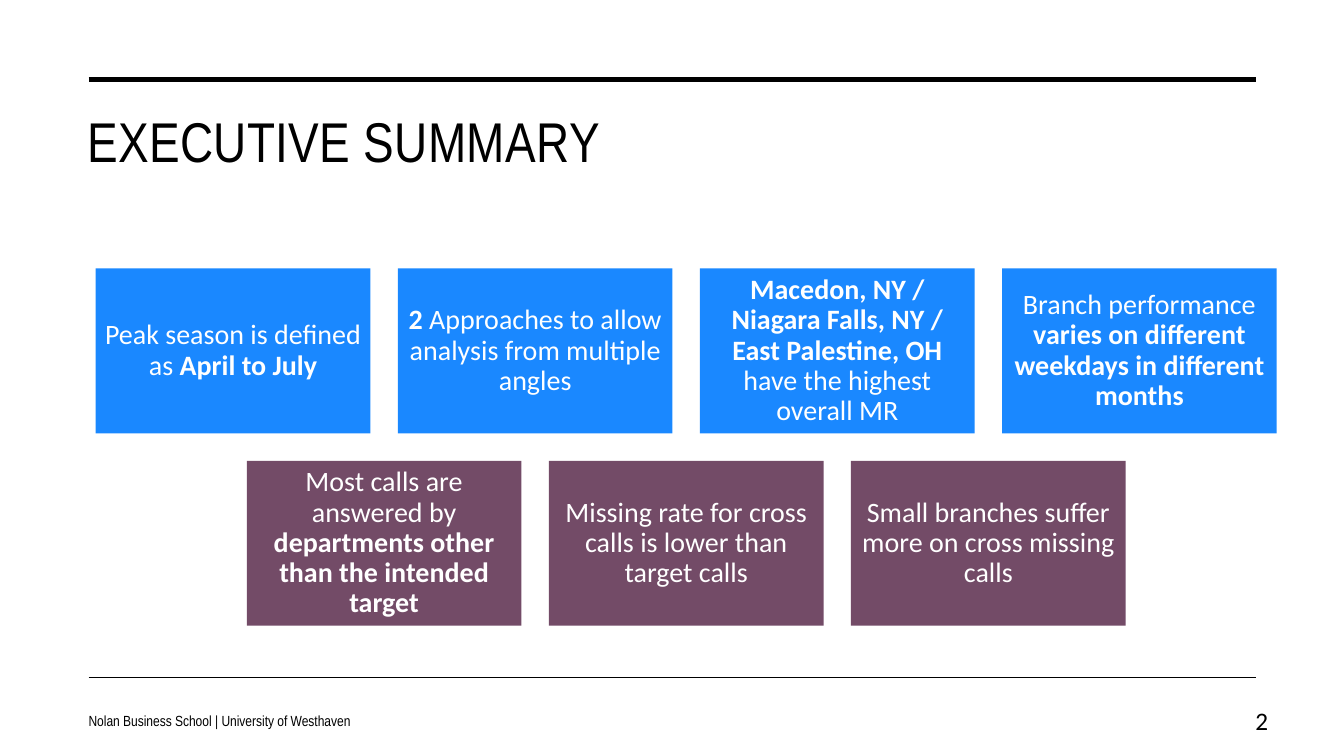
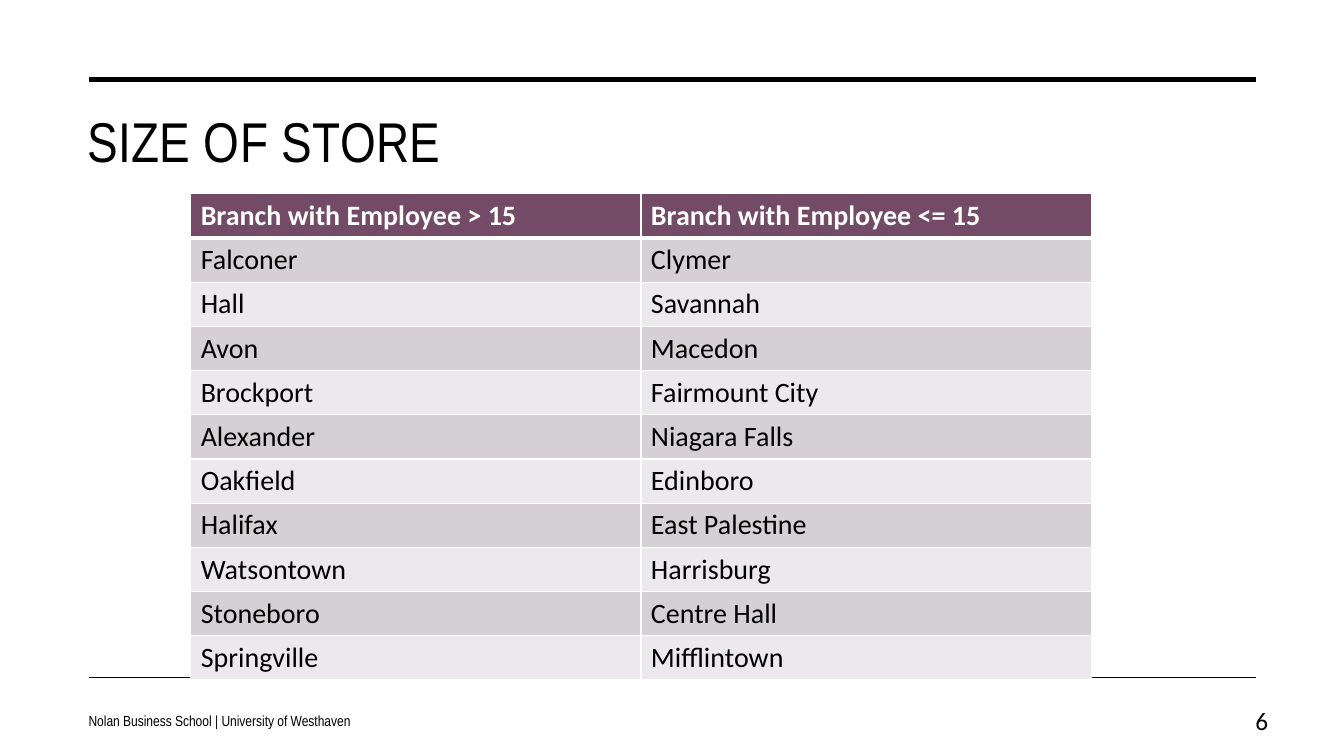
from dataclasses import dataclass

from lxml import etree
from pptx import Presentation
from pptx.dml.color import RGBColor
from pptx.enum import shapes, text
from pptx.oxml import ns
from pptx.util import Pt

# Shared style
BLACK, WHITE = "000000", "FFFFFF"
BLUE, PLUM = "1A88FF", "734B67"
BANDS = ("D5D0D3", "EBE9EB")
HEADING_FONT, BODY_FONT = "Arial Narrow", "Calibri"
FOOTER = "Nolan Business School | University of Westhaven"
RULE_LEFT, RULE_RIGHT = 63.4, 897.1

# Card grid
CARD_WIDTH, CARD_HEIGHT, CARD_GAP = 196.2, 117.8, 19.6
GRID_CENTER, GRID_TOP = 490.2, 191.8

# Table
TABLE_LEFT, TABLE_TOP, COLUMN_WIDTH, ROW_HEIGHT = 136.2, 138.4, 321.6, 31.6


@dataclass(frozen=True)
class Span:
    text: str
    bold: bool = False


@dataclass(frozen=True)
class Box:
    left: float
    top: float
    width: float
    height: float

    def lengths(self):
        return Pt(self.left), Pt(self.top), Pt(self.width), Pt(self.height)


@dataclass(frozen=True)
class CardRow:
    color: str
    cards: tuple


TITLE_BOX = Box(55.4, 72.7, 841.7, 108)
FOOTER_BOX = Box(56.2, 500.4, 357.1, 28.8)
NUMBER_BOX = Box(859.7, 500.4, 53.3, 28.8)

CARD_ROWS = (
    CardRow(BLUE, (
        (Span("Peak season is defined as "), Span("April to July", True)),
        (Span("2", True), Span(" Approaches to allow analysis from multiple angles")),
        (Span("Macedon, NY / Niagara Falls, NY / East Palestine, OH ", True),
         Span("have the highest overall MR")),
        (Span("Branch performance "),
         Span("varies on different weekdays in different months", True)),
    )),
    CardRow(PLUM, (
        (Span("Most calls are answered by "),
         Span("departments other than the intended target", True)),
        (Span("Missing rate for cross calls is lower than target calls"),),
        (Span("Small branches suffer more on cross missing calls"),),
    )),
)

STORES = (
    ("Branch with Employee > 15", "Branch with Employee <= 15"),
    ("Falconer", "Clymer"),
    ("Hall", "Savannah"),
    ("Avon", "Macedon"),
    ("Brockport", "Fairmount City"),
    ("Alexander", "Niagara Falls"),
    ("Oakfield", "Edinboro"),
    ("Halifax", "East Palestine"),
    ("Watsontown", "Harrisburg"),
    ("Stoneboro", "Centre Hall"),
    ("Springville", "Mifflintown"),
)


def rgb(color: str) -> RGBColor:
    return RGBColor.from_string(color)


def add_run(paragraph, span: Span, size: float, color: str, font_name: str = BODY_FONT):
    run = paragraph.add_run()
    run.text = span.text
    font = run.font
    font.name, font.size, font.bold = font_name, Pt(size), span.bold
    font.color.rgb = rgb(color)
    return run


def add_text(slide, box: Box, words: str, size: float, font_name: str,
             anchor=text.MSO_ANCHOR.MIDDLE, align=text.PP_ALIGN.LEFT):
    frame = slide.shapes.add_textbox(*box.lengths()).text_frame
    frame.word_wrap = True
    frame.vertical_anchor = anchor
    paragraph = frame.paragraphs[0]
    paragraph.alignment = align
    return add_run(paragraph, Span(words), size, BLACK, font_name)


def add_rule(slide, y: float, weight: float) -> None:
    rule = slide.shapes.add_connector(
        shapes.MSO_CONNECTOR.STRAIGHT, Pt(RULE_LEFT), Pt(y), Pt(RULE_RIGHT), Pt(y))
    rule.line.color.rgb = rgb(BLACK)
    rule.line.width = Pt(weight)
    etree.SubElement(rule._element.spPr, ns.qn("a:effectLst"))


def add_base_slide(presentation, title: str, number: int):
    """Add a blank slide with rules, title, footer and number."""
    slide = presentation.slides.add_slide(presentation.slide_layouts[6])
    add_rule(slide, 56.9, 3.5)
    add_rule(slide, 483.8, 1)
    run = add_text(slide, TITLE_BOX, title, 40, HEADING_FONT, text.MSO_ANCHOR.TOP)
    run.font._element.set("spc", "30")
    add_text(slide, FOOTER_BOX, FOOTER, 10.5, HEADING_FONT)
    add_text(slide, NUMBER_BOX, str(number), 18, BODY_FONT, align=text.PP_ALIGN.RIGHT)
    return slide


def add_card(slide, box: Box, color: str, spans: tuple) -> None:
    card = slide.shapes.add_shape(shapes.MSO_SHAPE.RECTANGLE, *box.lengths())
    card.shadow.inherit = False
    card.fill.solid()
    card.fill.fore_color.rgb = rgb(color)
    card.line.fill.background()
    frame = card.text_frame
    frame.word_wrap = True
    frame.vertical_anchor = text.MSO_ANCHOR.MIDDLE
    frame.margin_left = frame.margin_right = Pt(6)
    frame.margin_top = frame.margin_bottom = Pt(6)
    paragraph = frame.paragraphs[0]
    paragraph.alignment = text.PP_ALIGN.CENTER
    paragraph.line_spacing = 0.9
    for span in spans:
        add_run(paragraph, span, 20, WHITE)


def add_card_grid(slide, rows: tuple) -> None:
    """Draw rows of equal cards, each row centred on the grid."""
    for row_index, row in enumerate(rows):
        step = CARD_WIDTH + CARD_GAP
        left = GRID_CENTER - (len(row.cards) * step - CARD_GAP) / 2
        top = GRID_TOP + row_index * (CARD_HEIGHT + CARD_GAP)
        for index, spans in enumerate(row.cards):
            box = Box(left + index * step, top, CARD_WIDTH, CARD_HEIGHT)
            add_card(slide, box, row.color, spans)


def set_borders(cell, top: float, bottom: float) -> None:
    properties = cell._tc.get_or_add_tcPr()
    for side, weight in (("L", 1), ("R", 1), ("T", top), ("B", bottom)):
        line = etree.SubElement(properties, ns.qn(f"a:ln{side}"), w=str(int(Pt(weight))))
        fill = etree.SubElement(line, ns.qn("a:solidFill"))
        etree.SubElement(fill, ns.qn("a:srgbClr"), val=WHITE)


def add_store_table(slide, rows: tuple) -> None:
    columns = len(rows[0])
    box = Box(TABLE_LEFT, TABLE_TOP, COLUMN_WIDTH * columns, ROW_HEIGHT * len(rows))
    table = slide.shapes.add_table(len(rows), columns, *box.lengths()).table
    for row_index, names in enumerate(rows):
        header = row_index == 0
        fill = PLUM if header else BANDS[(row_index - 1) % 2]
        for column_index, name in enumerate(names):
            cell = table.cell(row_index, column_index)
            set_borders(cell, 3 if row_index == 1 else 1, 3 if header else 1)
            cell.fill.solid()
            cell.fill.fore_color.rgb = rgb(fill)
            add_run(cell.text_frame.paragraphs[0], Span(name, header), 20,
                    WHITE if header else BLACK)


def main() -> None:
    presentation = Presentation()
    presentation.slide_width, presentation.slide_height = Pt(960), Pt(540)

    # Executive summary
    add_card_grid(add_base_slide(presentation, "EXECUTIVE SUMMARY", 2), CARD_ROWS)

    # Size of store
    add_store_table(add_base_slide(presentation, "SIZE OF STORE", 6), STORES)

    presentation.save("out.pptx")


if __name__ == "__main__":
    main()
